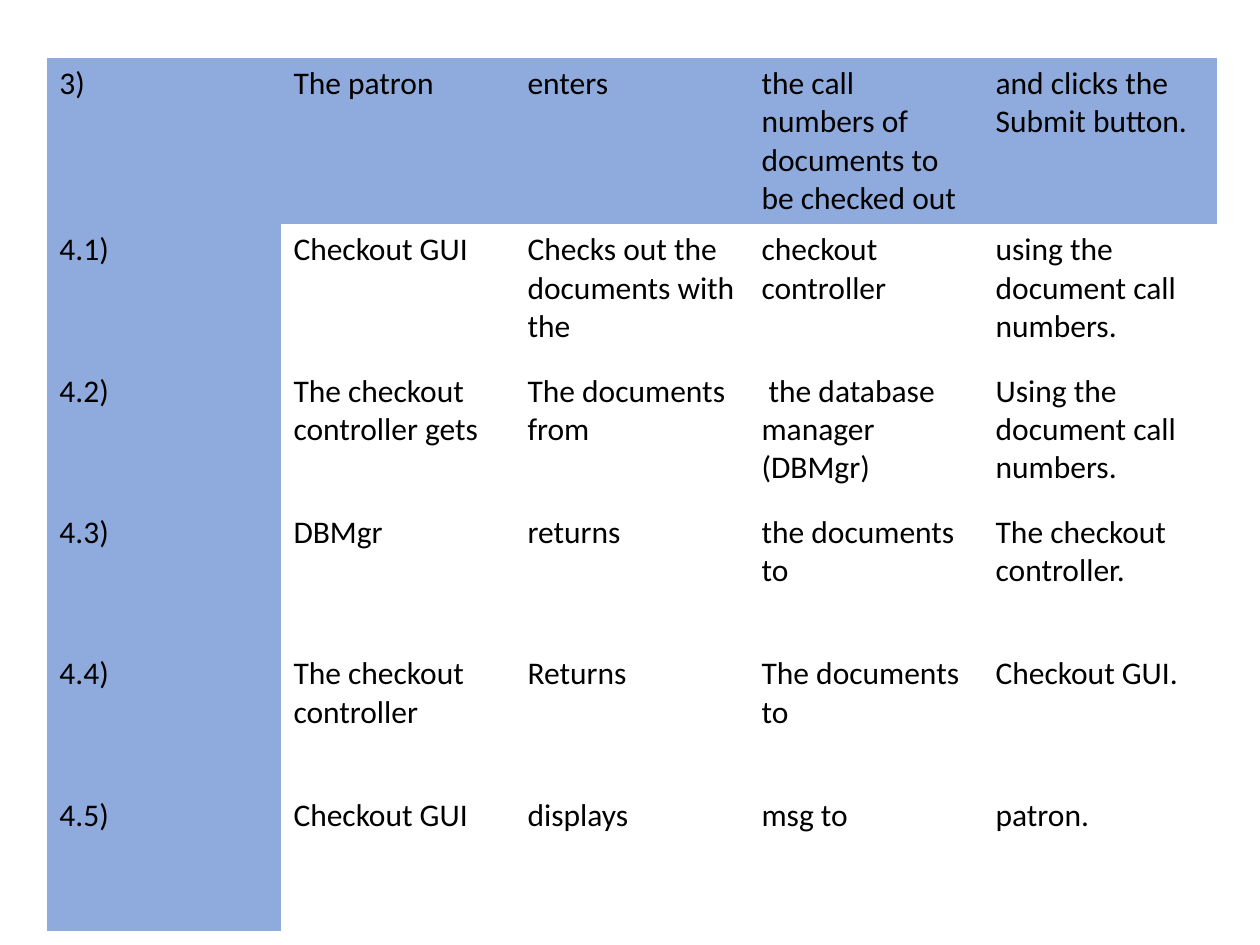
import pptx
import pptx.dml.color
import pptx.oxml.ns
import pptx.util

Pt = pptx.util.Pt
PLAIN_TABLE_STYLE = "{2D5ABB26-0587-4C30-8999-92F81FD0307C}"  # no fill, no grid


def colour(hex_value):
    return pptx.dml.color.RGBColor.from_string(hex_value)


class SlideWriter:
    """Holds the style and the slide being written."""

    font_name = "Calibri"
    font_size = 18
    ink = "000000"
    highlight = "8FAADC"

    def __init__(self, slide):
        self.slide = slide

    def table(self, rows, left, top, column_width, row_height):
        columns = len(rows[0])
        frame = self.slide.shapes.add_table(
            len(rows), columns, Pt(left), Pt(top),
            Pt(column_width * columns), Pt(row_height * len(rows)))
        grid = frame.table
        grid.first_row = False
        grid.horz_banding = False
        style_id = grid._tbl.tblPr.find(pptx.oxml.ns.qn("a:tableStyleId"))
        style_id.text = PLAIN_TABLE_STYLE

        for column in grid.columns:
            column.width = Pt(column_width)
        for r, row in enumerate(rows):
            grid.rows[r].height = Pt(row_height)
            for c, wording in enumerate(row):
                self.cell(grid.cell(r, c), wording, highlighted=r == 0 or c == 0)

    def cell(self, cell, wording, highlighted):
        cell.text = wording
        if highlighted:
            cell.fill.solid()
            cell.fill.fore_color.rgb = colour(self.highlight)
        else:
            cell.fill.background()
        font = cell.text_frame.paragraphs[0].font
        font.name = self.font_name
        font.size = Pt(self.font_size)
        font.color.rgb = colour(self.ink)


# Scenario steps: number, subject, action, object, remainder
CHECKOUT_STEPS = [
    ["3)", "The patron", "enters",
     "the call numbers of documents to be checked out",
     "and clicks the Submit button."],
    ["4.1)", "Checkout GUI", "Checks out the documents with the",
     "checkout controller", "using the document call numbers."],
    ["4.2)", "The checkout controller gets", "The documents from",
     " the database manager (DBMgr)", "Using the document call numbers."],
    ["4.3)", "DBMgr", "returns", "the documents to", "The checkout controller."],
    ["4.4)", "The checkout controller", "Returns", "The documents to",
     "Checkout GUI."],
    ["4.5)", "Checkout GUI", "displays", "msg to", "patron."],
]


def main():
    deck = pptx.Presentation()
    deck.slide_width, deck.slide_height = Pt(720), Pt(540)
    writer = SlideWriter(deck.slides.add_slide(deck.slide_layouts[6]))

    # Checkout scenario table
    writer.table(CHECKOUT_STEPS, left=26.8, top=33.1,
                 column_width=133.75, row_height=80.8)

    deck.save("out.pptx")


if __name__ == "__main__":
    main()
